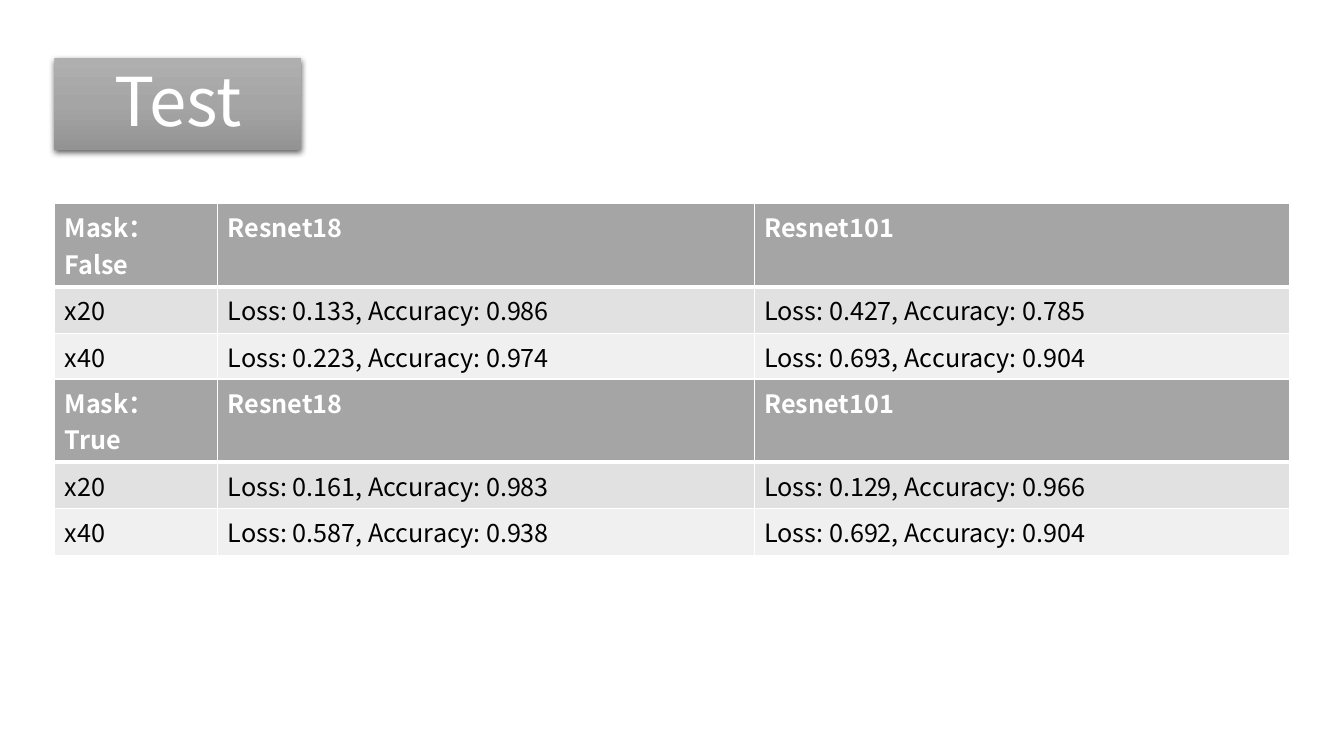
import pptx
import pptx.dml.color
import pptx.enum.text
import pptx.oxml
import pptx.oxml.ns
import pptx.util
from dataclasses import dataclass

Inches = pptx.util.Inches
Pt = pptx.util.Pt

# Content
TITLE = "Test"
MODELS = ["Resnet18", "Resnet101"]
RESULTS = {
    "Mask：False": [
        ("x20", (0.133, 0.986), (0.427, 0.785)),
        ("x40", (0.223, 0.974), (0.693, 0.904)),
    ],
    "Mask：True": [
        ("x20", (0.161, 0.983), (0.129, 0.966)),
        ("x40", (0.587, 0.938), (0.692, 0.904)),
    ],
}


@dataclass
class Theme:
    font: str = "Noto Sans CJK SC"
    title_size: int = 48
    table_size: int = 18
    white: str = "FFFFFF"
    black: str = "000000"
    header: str = "A5A5A5"
    bands: tuple = ("E1E1E1", "F0F0F0")
    gradient: tuple = ((0, "AFAFAF"), (50, "A5A5A5"), (100, "939393"))


theme = Theme()

# Layout
LEFT = 0.54
COLUMNS = (1.62, 5.32, 5.31)
ROW_HEIGHT = 0.41
FIRST_TABLE_TOP = 2.02
TABLE_STEP = 1.74


def element(xml):
    namespace = pptx.oxml.ns.nsdecls("a")
    return pptx.oxml.parse_xml(xml.replace(" ", f" {namespace} ", 1))


def format_text(text_frame, size, color, bold=False):
    for paragraph in text_frame.paragraphs:
        for run in paragraph.runs:
            run.font.name = theme.font
            run.font.size = Pt(size)
            run.font.bold = bold
            run.font.color.rgb = pptx.dml.color.RGBColor.from_string(color)
            run.font._element.append(element(f'<a:ea typeface="{theme.font}"/>'))


def add_borders(cell, widths):
    properties = cell._tc.get_or_add_tcPr()
    for index, (side, width) in enumerate(widths.items()):
        properties.insert(index, element(
            f'<a:ln{side} w="{Pt(width)}"><a:solidFill>'
            f'<a:srgbClr val="{theme.white}"/></a:solidFill></a:ln{side}>'))


def add_results_table(slide, top, mask, results):
    rows = [[mask, *MODELS]]
    for scale, *scores in results:
        rows.append([scale] + [f"Loss: {loss:.3f}, Accuracy: {accuracy:.3f}"
                               for loss, accuracy in scores])
    table = slide.shapes.add_table(
        len(rows), len(COLUMNS), Inches(LEFT), Inches(top),
        Inches(sum(COLUMNS)), Inches(ROW_HEIGHT * len(rows))).table
    for column, width in zip(table.columns, COLUMNS):
        column.width = Inches(width)
    for row_index, texts in enumerate(rows):
        table.rows[row_index].height = Inches(ROW_HEIGHT)
        is_header = row_index == 0
        fill = theme.header if is_header else theme.bands[(row_index - 1) % 2]
        for column_index, text in enumerate(texts):
            cell = table.cell(row_index, column_index)
            cell.text_frame.text = text
            format_text(cell.text_frame, theme.table_size,
                        theme.white if is_header else theme.black, is_header)
            cell.fill.solid()
            cell.fill.fore_color.rgb = pptx.dml.color.RGBColor.from_string(fill)
            add_borders(cell, {"L": 1, "R": 1, "T": 3 if row_index == 1 else 1,
                               "B": 3 if is_header else 1})


presentation = pptx.Presentation()
presentation.slide_width = Inches(13.33)
presentation.slide_height = Inches(7.5)
slide = presentation.slides.add_slide(presentation.slide_layouts[5])

# Title plate with gradient and shadow
title = slide.shapes.title
title.left, title.top = Inches(LEFT), Inches(0.58)
title.width, title.height = Inches(2.45), Inches(0.91)
title.text_frame.text = TITLE
title.text_frame.auto_size = pptx.enum.text.MSO_AUTO_SIZE.NONE
title.text_frame.vertical_anchor = pptx.enum.text.MSO_ANCHOR.MIDDLE
title.text_frame.paragraphs[0].alignment = pptx.enum.text.PP_ALIGN.CENTER
title.text_frame.paragraphs[0].line_spacing = 0.9
format_text(title.text_frame, theme.title_size, theme.white)
stops = "".join(f'<a:gs pos="{position * 1000}"><a:srgbClr val="{color}"/></a:gs>'
                for position, color in theme.gradient)
title_properties = title._element.spPr
title_properties.append(element(
    f'<a:gradFill rotWithShape="1"><a:gsLst>{stops}</a:gsLst>'
    '<a:lin ang="5400000" scaled="0"/></a:gradFill>'))
title_properties.append(element(
    f'<a:effectLst ><a:outerShdw blurRad="{Pt(4.5)}" dist="{Pt(1.5)}" '
    f'dir="5400000" algn="ctr" rotWithShape="0"><a:srgbClr val="{theme.black}">'
    '<a:alpha val="63000"/></a:srgbClr></a:outerShdw></a:effectLst>'))

# One results table per mask setting
for index, (mask, results) in enumerate(RESULTS.items()):
    add_results_table(slide, FIRST_TABLE_TOP + index * TABLE_STEP, mask, results)

presentation.save("out.pptx")
